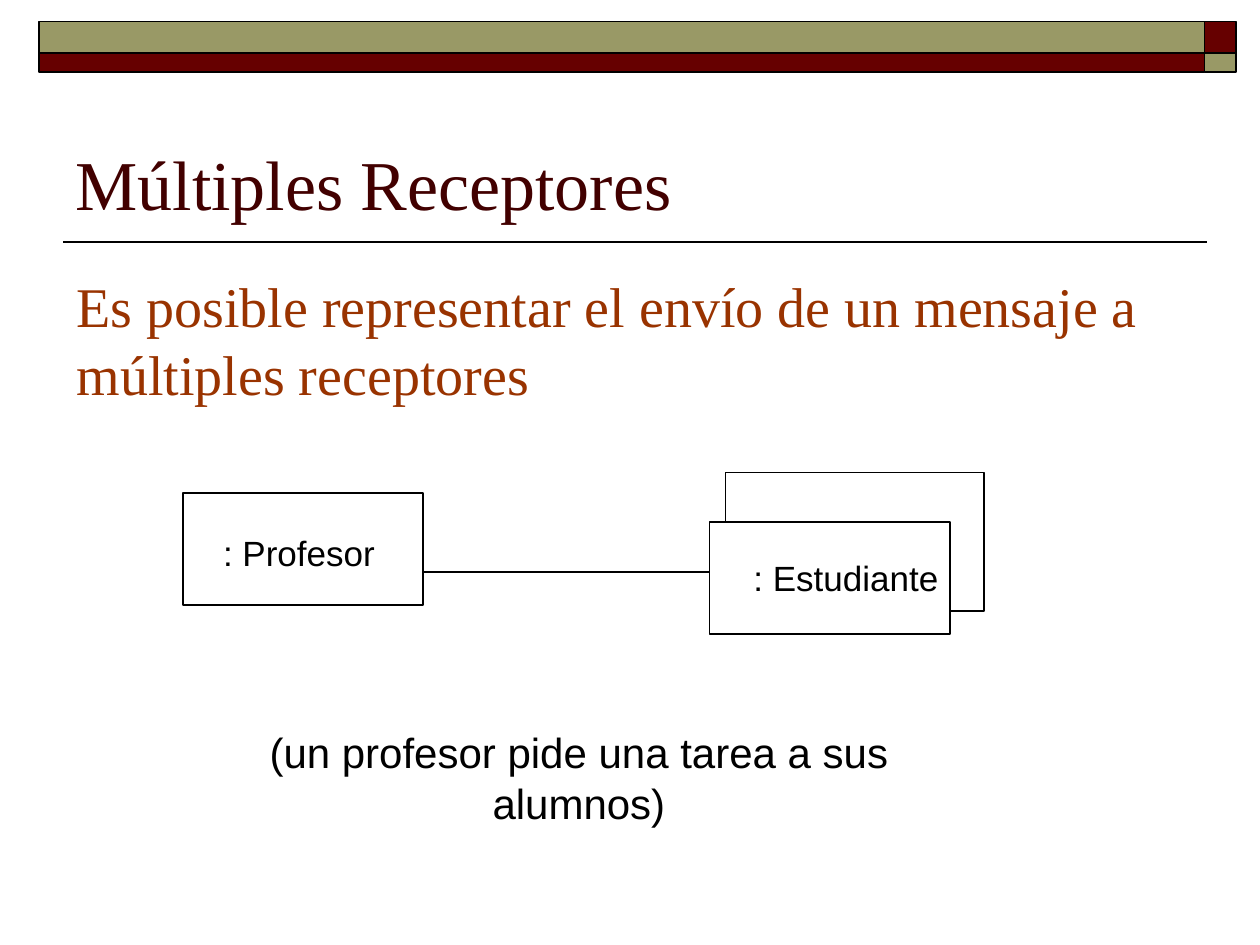
from lxml import etree
from pptx import Presentation
from pptx.dml.color import RGBColor
from pptx.enum.shapes import MSO_CONNECTOR, MSO_SHAPE
from pptx.enum.text import MSO_ANCHOR, PP_ALIGN
from pptx.oxml.ns import qn
from pptx.util import Inches, Pt

RECT = MSO_SHAPE.RECTANGLE
STRAIGHT = MSO_CONNECTOR.STRAIGHT
BOTTOM = MSO_ANCHOR.BOTTOM
LEFT, CENTER = PP_ALIGN.LEFT, PP_ALIGN.CENTER
SERIF, SANS = "Times New Roman", "Arial"
BLACK, WHITE, OLIVE, MAROON = "000000", "FFFFFF", "999966", "660000"


def color(value):
    """Turn a hex string into a colour."""
    return RGBColor.from_string(value)


def add_box(s, left, top, width, height, fill=None, weight=1):
    """Add a black-outlined rectangle, hollow unless a fill is given."""
    sp = s.shapes.add_shape(RECT, Inches(left), Inches(top), Inches(width), Inches(height))
    sp.shadow.inherit = False
    if fill:
        sp.fill.solid()
        sp.fill.fore_color.rgb = color(fill)
    else:
        sp.fill.background()
    sp.line.color.rgb = color(BLACK)
    sp.line.width = Pt(weight)


def add_line(s, x1, x2, y, weight):
    """Add a horizontal black line without a shadow."""
    line = s.shapes.add_connector(STRAIGHT, Inches(x1), Inches(y), Inches(x2), Inches(y))
    line.line.color.rgb = color(BLACK)
    line.line.width = Pt(weight)
    etree.SubElement(line._element.spPr, qn("a:effectLst"))


def write(tf, text, size, font, hex_color, align=LEFT):
    """Write one formatted paragraph into a text frame."""
    tf.text = text
    p = tf.paragraphs[0]
    p.alignment = align
    p.font.size = Pt(size)
    p.font.name = font
    p.font.color.rgb = color(hex_color)


def add_text(s, left, top, width, height, text, size, font=SANS, hex_color=BLACK,
             align=LEFT, wrap=False, inset=True):
    """Add a text box, with default insets or none."""
    tb = s.shapes.add_textbox(Inches(left), Inches(top), Inches(width), Inches(height))
    tf = tb.text_frame
    tf.word_wrap = wrap
    if not inset:
        tf.margin_left = tf.margin_right = tf.margin_top = tf.margin_bottom = 0
    write(tf, text, size, font, hex_color, align)


def add_banner(s, left, top, width, height):
    """Draw the two-row banner with alternating colours."""
    corner = 0.25
    columns = [(left, width - corner), (left + width - corner, corner)]
    rows = [(top, corner), (top + corner, height - corner)]
    for i, (y, h) in enumerate(rows):
        for j, (x, w) in enumerate(columns):
            add_box(s, x, y, w, h, (OLIVE, MAROON)[(i + j) % 2])


def add_title(s, left, top, width, height, text):
    """Place the title and the rule beneath it."""
    title = s.shapes.title
    title.left, title.top = Inches(left), Inches(top)
    title.width, title.height = Inches(width), Inches(height)
    title.text_frame.vertical_anchor = BOTTOM
    write(title.text_frame, text, 40, SERIF, "420000")
    add_line(s, left, left + 9.08, top + height + 0.09, 1)


def add_diagram(s, left, top):
    """Draw the sender, the stacked receivers and their link."""
    width, height = 1.91, 0.89
    receiver = left + 4.18
    add_box(s, receiver + 0.13, top, 2.05, 1.1, weight=0.75)
    add_box(s, receiver, top + 0.39, width, height, WHITE)
    add_text(s, receiver + 0.35, top + 0.67, 1.47, 0.33, ": Estudiante", 20, inset=False)
    add_box(s, left, top + 0.16, width, height, WHITE)
    add_text(s, left + 0.32, top + 0.47, 1.21, 0.33, ": Profesor", 20, inset=False)
    add_line(s, left + width, receiver, top + 0.79, 0.75)


def main():
    """Build and save the slide."""
    prs = Presentation()
    prs.slide_width, prs.slide_height = Inches(10), Inches(7.5)
    s = prs.slides.add_slide(prs.slide_layouts[5])
    add_banner(s, 0.31, 0.17, 9.5, 0.4)
    add_title(s, 0.5, 0.58, 9, 1.25, "Múltiples Receptores")
    add_diagram(s, 1.45, 3.75)
    add_text(s, 0.51, 2.11, 8.66, 1.17,
             "Es posible representar el envío de un mensaje a múltiples receptores",
             32, SERIF, "993300", wrap=True)
    add_text(s, 1.31, 5.72, 6.57, 0.5, "(un profesor pide una tarea a sus alumnos)",
             24, align=CENTER)
    prs.save("out.pptx")


if __name__ == "__main__":
    main()
